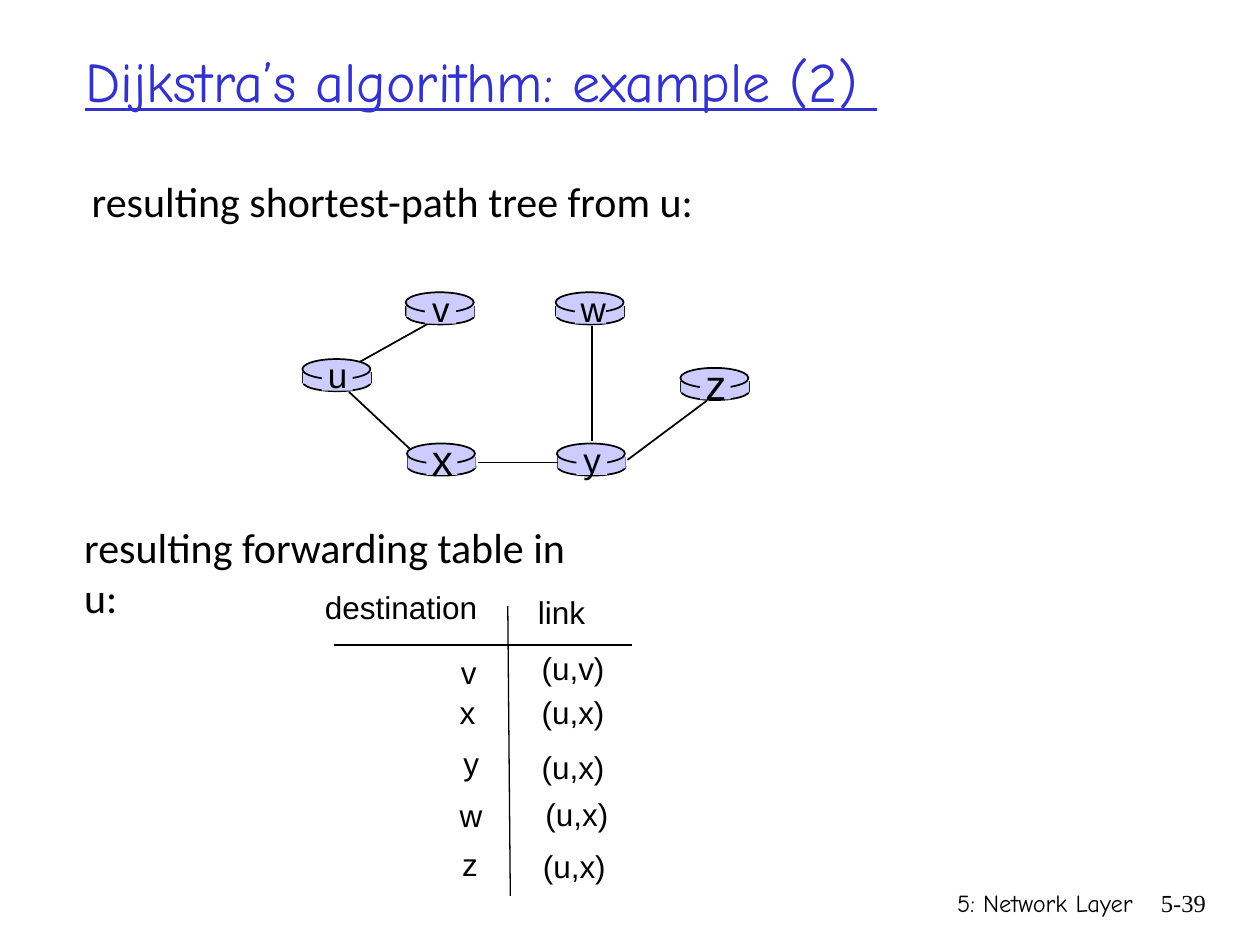
from typing import NamedTuple

from lxml import etree
from pptx import Presentation
from pptx import util as u
from pptx.dml.color import RGBColor
from pptx.enum import shapes, text
from pptx.oxml.ns import qn

# Slide grid: 100 columns by 75 rows
COLS, ROWS = 100, 75
COLORS = {"title": "3333CC", "ink": "000000", "router": "CCCCFF"}
ALIGN, ANCHOR = text.PP_ALIGN, text.MSO_ANCHOR
OVAL, RECT = shapes.MSO_SHAPE.OVAL, shapes.MSO_SHAPE.RECTANGLE

prs = Presentation()
prs.slide_width, prs.slide_height = u.Inches(10), u.Inches(7.5)
s = prs.slides.add_slide(prs.slide_layouts[6])


class Box(NamedTuple):
    col: float
    row: float
    cols: float
    rows: float


class Router(NamedTuple):
    name: str
    col: float
    row: float
    size: int = 20


class Link(NamedTuple):
    col1: float
    row1: float
    col2: float
    row2: float


class Route(NamedTuple):
    dest: str
    dest_col: float
    dest_row: float
    link: str
    link_col: float
    link_row: float


def x(col: float) -> int:
    return int(prs.slide_width * col / COLS)


def y(row: float) -> int:
    return int(prs.slide_height * row / ROWS)


def place(box: Box) -> tuple[int, int, int, int]:
    return x(box.col), y(box.row), x(box.cols), y(box.rows)


def rgb(name: str) -> RGBColor:
    return RGBColor.from_string(COLORS[name])


def write(box: Box, words: str, size: int, font: str = "Arial", color: str = "ink",
          align: ALIGN = ALIGN.LEFT, anchor: ANCHOR = ANCHOR.TOP,
          wrap: bool = False, underline: bool = False) -> None:
    tf = s.shapes.add_textbox(*place(box)).text_frame
    tf.word_wrap, tf.vertical_anchor = wrap, anchor
    if not wrap:
        tf.auto_size = text.MSO_AUTO_SIZE.SHAPE_TO_FIT_TEXT
    p = tf.paragraphs[0]
    p.alignment = align
    r = p.add_run()
    r.text = words
    formats = {"name": font, "size": u.Pt(size), "underline": underline}
    for key, value in formats.items():
        setattr(r.font, key, value)
    r.font.color.rgb = rgb(color)


def draw_line(link: Link, width: float = 1) -> None:
    sp = s.shapes.add_connector(shapes.MSO_CONNECTOR.STRAIGHT, x(link.col1), y(link.row1),
                                x(link.col2), y(link.row2))
    sp.line.color.rgb, sp.line.width = rgb("ink"), u.Pt(width)
    etree.SubElement(sp._element.spPr, qn("a:effectLst"))


def draw_shape(kind: shapes.MSO_SHAPE, box: Box, outlined: bool) -> None:
    sp = s.shapes.add_shape(kind, *place(box))
    sp.shadow.inherit = False
    sp.fill.solid()
    sp.fill.fore_color.rgb = rgb("router")
    if outlined:
        sp.line.color.rgb, sp.line.width = rgb("ink"), u.Pt(1)
    else:
        sp.line.fill.background()


def draw_router(router: Router) -> None:
    """Flat cylinder: base, sides, body and lid."""
    col, row, width = router.col, router.row, 5.4
    draw_shape(OVAL, Box(col + 0.05, row + 1.15, width, 1.4), True)
    for side in (col + 0.05, col + 0.05 + width):
        draw_line(Link(side, row + 1.05, side, row + 1.9))
    draw_shape(RECT, Box(col + 0.05, row + 1.05, width, 0.9), False)
    draw_shape(OVAL, Box(col, row, width, 1.6), True)


def label_router(router: Router) -> None:
    """Blank patch on the lid with the node name centred over it."""
    draw_shape(RECT, Box(router.col + 1.55, router.row + 0.2, 2.45, 2.3), False)
    height = 5 if router.size == 24 else 4.3
    write(Box(router.col + 1, router.row + 1.25 - height / 2, 3.6, height),
          router.name, router.size, align=ALIGN.CENTER)


ROUTERS = [
    Router("u", 24, 28.5), Router("x", 32.3, 35.2, 24), Router("v", 32.2, 23.2),
    Router("w", 44.1, 23.2), Router("y", 44.2, 35.2), Router("z", 54, 29.2, 24),
]
BACK_LINK = Link(28.6, 28.7, 34.5, 25.4)
FRONT_LINKS = [
    Link(47, 25.9, 47, 35), Link(49.8, 36.5, 56.1, 31.8),
    Link(44.3, 36.7, 37.9, 36.7), Link(32.5, 35.6, 27.7, 31.1),
]
ROUTES = [
    Route("v", 35.6, 51.3, "(u,v)", 42, 51),
    Route("x", 35.5, 54.5, "(u,x)", 42, 54.5),
    Route("y", 35.8, 58.6, "(u,x)", 42, 58.9),
    Route("w", 35.5, 62.7, "(u,x)", 42.3, 62.6),
    Route("z", 35.7, 66.6, "(u,x)", 42.1, 66.7),
]

# Title
write(Box(5.8, 1.7, 85, 9.3), "Dijkstra’s algorithm: example (2) ", 32, "Comic Neue",
      "title", anchor=ANCHOR.MIDDLE, wrap=True, underline=True)

# Shortest-path tree
draw_line(BACK_LINK)
for router in ROUTERS:
    draw_router(router)
for link in FRONT_LINKS:
    draw_line(link)
for router in ROUTERS:
    label_router(router)
write(Box(6.3, 13.4, 50, 5), "resulting shortest-path tree from u:", 24, "Calibri")

# Forwarding table: two rules and two columns of entries
draw_line(Link(40.3, 48.1, 40.5, 71.1), 0.75)
draw_line(Link(26.5, 51.2, 50.2, 51.2), 0.75)
write(Box(24.8, 46.2, 14.1, 4), "destination", 18)
write(Box(41.7, 46.6, 5.8, 4), "link", 18)
for route in ROUTES:
    write(Box(route.dest_col, route.dest_row, 3.3, 4), route.dest, 18)
    write(Box(route.link_col, route.link_row, 7, 4), route.link, 18)
write(Box(5.7, 40.9, 42.5, 5), "resulting forwarding table in u:", 24, "Calibri", wrap=True)

# Footer
write(Box(59.2, 70, 31.7, 5), "5: Network Layer", 14, "Comic Neue",
      align=ALIGN.RIGHT, wrap=True)
write(Box(89.3, 70, 7.4, 5), "5-39", 14, "Times New Roman", align=ALIGN.RIGHT, wrap=True)

prs.save("out.pptx")
